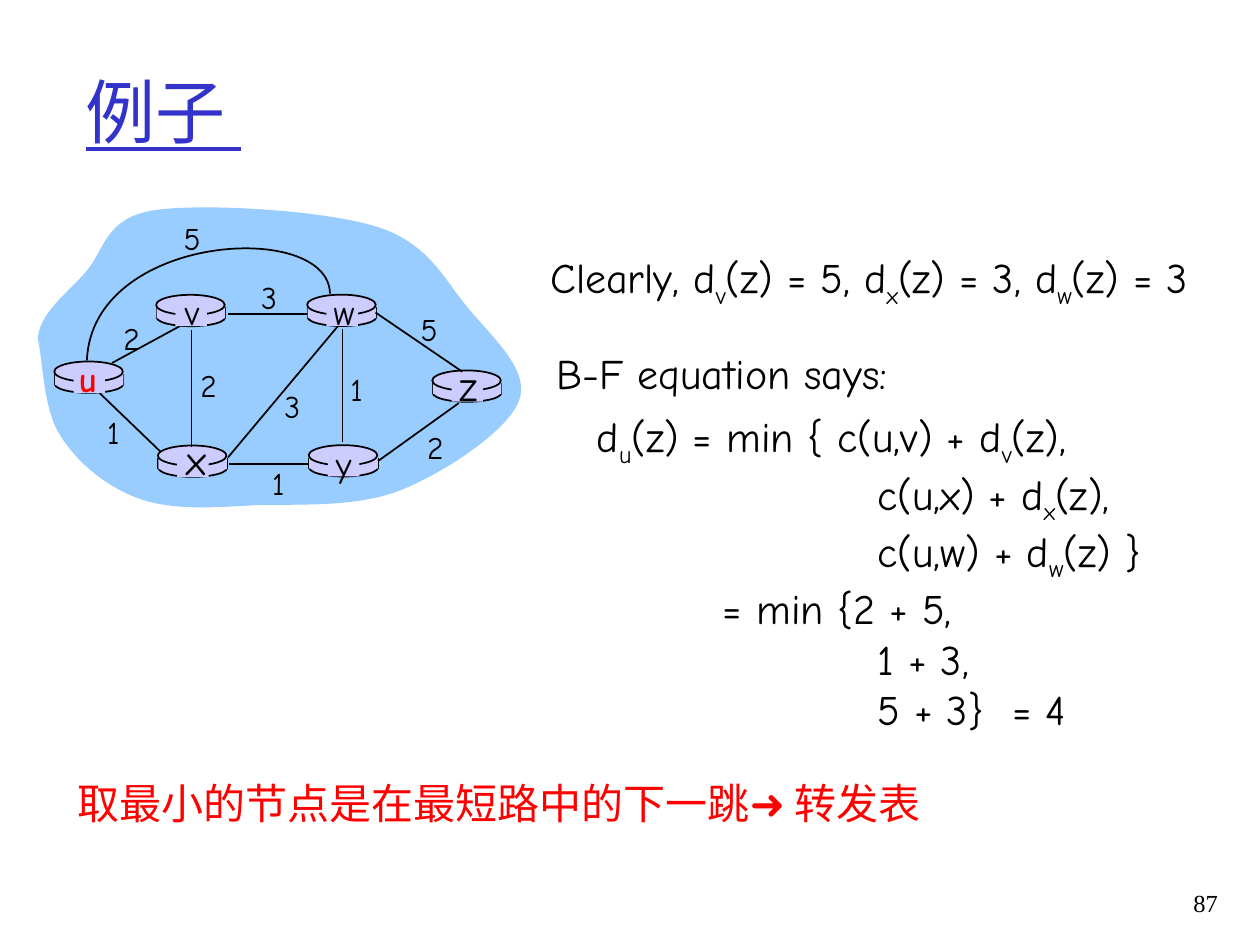
from lxml import etree
from pptx import Presentation
from pptx.dml.color import RGBColor
from pptx.enum.shapes import MSO_CONNECTOR, MSO_SHAPE
from pptx.enum.text import MSO_ANCHOR, MSO_AUTO_SIZE, PP_ALIGN
from pptx.oxml.ns import qn
from pptx.util import Pt

BLACK = RGBColor(0x00, 0x00, 0x00)
RED = RGBColor(0xFF, 0x00, 0x00)
TITLE_BLUE = RGBColor(0x33, 0x33, 0xCC)
CLOUD_BLUE = RGBColor(0x99, 0xCC, 0xFF)
LILAC = RGBColor(0xCC, 0xCC, 0xFF)

COMIC, TIMES, CJK = "Comic Neue", "Times New Roman", "Noto Sans CJK JP"
LEFT, CENTER, RIGHT = PP_ALIGN.LEFT, PP_ALIGN.CENTER, PP_ALIGN.RIGHT
TOP, MIDDLE = MSO_ANCHOR.TOP, MSO_ANCHOR.MIDDLE
OVAL, RECT = MSO_SHAPE.OVAL, MSO_SHAPE.RECTANGLE
STRAIGHT = MSO_CONNECTOR.STRAIGHT
FIT = MSO_AUTO_SIZE.SHAPE_TO_FIT_TEXT

# Router symbol size
NODE_W, RIM_H = 39.2, 11.5

# Router name: left and top of its symbol, centre and size of its letter
NODES = {
    "u": (31, 206.6, 50, 216.2, 20),
    "x": (90.2, 254.6, 111.6, 262.2, 24),
    "v": (89.2, 168.5, 109.8, 178, 20),
    "w": (175.5, 168.4, 195.6, 178, 20),
    "y": (176.4, 254.4, 196.4, 264.8, 20),
    "z": (247, 211.7, 267.6, 220, 24),
}
EDGE_UV = (64.1, 207.4, 106.6, 184.3)
EDGES = [
    (195.8, 187.9, 195.8, 252.7),
    (109.4, 188.6, 109.4, 255.6),
    (130.3, 261.4, 193, 186.5),
    (216, 263.5, 262.1, 230.4),
    (176.4, 265.3, 131, 265.3),
    (91.4, 257.8, 56.9, 224.6),
    (175.7, 179.3, 130.3, 179.3),
    (264.2, 212.4, 214.6, 178.6),
]
# Link cost and the centre of its label
COSTS = [
    ("2", 75.2, 193), ("2", 119.2, 220.3), ("1", 64.8, 247), ("3", 167, 231.8),
    ("1", 159.1, 275.8), ("1", 203.8, 222.5), ("2", 248.8, 255.6),
    ("5", 245.2, 187.9), ("3", 153.7, 169.5), ("5", 109.8, 136.1),
]
# Curves: a start point, then two control points and an end point per piece
ARC_UW = [(188.6, 167.8), (187.9, 125.3), (52.6, 133.2), (49.7, 205.9)]
CLOUD = [
    (21.6, 193.7),
    (22.3, 179.3), (38.2, 167.8), (49, 155.5),
    (59.8, 143.3), (59.8, 124.6), (87.8, 120.2),
    (115.9, 115.9), (185.8, 120.2), (215.3, 129.6),
    (245.5, 139), (254.2, 160.6), (267.8, 176.4),
    (281.5, 193), (303.1, 211.7), (296.6, 229),
    (290.2, 246.2), (254.2, 270), (229, 280.1),
    (203.8, 290.2), (170.6, 288), (146.2, 288.7),
    (121, 290.2), (98.6, 291.6), (79.9, 285.1),
    (61.2, 278.6), (43.9, 264.2), (34.6, 249.1),
    (24.5, 234), (24.5, 205.2), (21.6, 193.7),
]
# Equation rows: an underscore makes the next letter a subscript
EQUATION = [
    "d_u(z) = min { c(u,v) + d_v(z),",
    "\tc(u,x) + d_x(z),",
    "\tc(u,w) + d_w(z) }",
    "\t= min {2 + 5,",
    "\t1 + 3,",
    "\t5 + 3}\t= 4",
]
MIN_TAB, TERM_TAB, RESULT_TAB = 72, 160.3, 237.3


class SlideBuilder:
    def __init__(self, slide):
        self.shapes = slide.shapes

    def style(self, sp, fill=None, line=None):
        sp.shadow.inherit = False
        if fill is None:
            sp.fill.background()
        else:
            sp.fill.solid()
            sp.fill.fore_color.rgb = fill
        if line is None:
            sp.line.fill.background()
        else:
            sp.line.color.rgb = line
            sp.line.width = Pt(1)

    def shape(self, kind, x, y, w, h, fill, line=None):
        sp = self.shapes.add_shape(kind, Pt(x), Pt(y), Pt(w), Pt(h))
        self.style(sp, fill, line)

    def curve(self, points, closed, fill=None, line=None):
        corners = [(Pt(x), Pt(y)) for x, y in points]
        builder = self.shapes.build_freeform(*corners[0])
        builder.add_line_segments(corners[1:], close=closed)
        sp = builder.convert_to_shape()
        # Every three straight segments become one cubic curve
        segments = list(sp._element.iter(qn("a:lnTo")))
        for i in range(0, len(segments), 3):
            cubic = etree.Element(qn("a:cubicBezTo"))
            segments[i].addprevious(cubic)
            for segment in segments[i:i + 3]:
                cubic.append(segment[0])
                segment.getparent().remove(segment)
        self.style(sp, fill, line)

    def line(self, x1, y1, x2, y2):
        cn = self.shapes.add_connector(STRAIGHT, Pt(x1), Pt(y1), Pt(x2), Pt(y2))
        cn.line.color.rgb = BLACK
        cn.line.width = Pt(1)
        etree.SubElement(cn._element.spPr, qn("a:effectLst"))

    def run(self, p, text, size, color=BLACK, font=COMIC, bold=False, underline=False, sub=False):
        r = p.add_run()
        r.text = text
        r.font.size, r.font.name = Pt(size), font
        r.font.color.rgb = color
        r.font.bold, r.font.underline = bold, underline
        rPr = r._r.get_or_add_rPr()
        etree.SubElement(rPr, qn("a:ea"), typeface=CJK)
        if sub:
            rPr.set("baseline", "-25000")

    def formula(self, p, text, size=24):
        first, *rest = text.split("_")
        self.run(p, first, size)
        for part in rest:
            self.run(p, part[0], size, sub=True)
            self.run(p, part[1:], size)

    def text(self, x, y, w, h, align=LEFT, anchor=TOP, wrap=False):
        tf = self.shapes.add_textbox(Pt(x), Pt(y), Pt(w), Pt(h)).text_frame
        tf.word_wrap = wrap
        tf.vertical_anchor = anchor
        if not wrap:
            tf.auto_size = FIT
        tf.paragraphs[0].alignment = align
        return tf

    def label(self, text, cx, cy, size, color=BLACK, bold=False):
        w, h = 24, size * 1.2 + 7.2
        tf = self.text(cx - w / 2, cy - h / 2, w, h, CENTER)
        self.run(tf.paragraphs[0], text, size, color, bold=bold)

    def tabs(self, p, *stops):
        tab_list = etree.SubElement(p._p.get_or_add_pPr(), qn("a:tabLst"))
        for stop in stops:
            etree.SubElement(tab_list, qn("a:tab"), pos=str(Pt(stop)), algn="l")

    def router(self, x, y):
        self.shape(OVAL, x + 0.3, y + 7.9, NODE_W, 10, LILAC, BLACK)
        for side in (x + 0.3, x + 0.3 + NODE_W):
            self.line(side, y + 7.2, side, y + 13.5)
        self.shape(RECT, x + 0.3, y + 7.2, NODE_W, 6.3, LILAC)
        self.shape(OVAL, x, y, NODE_W, RIM_H, LILAC, BLACK)


def main():
    prs = Presentation()
    prs.slide_width, prs.slide_height = Pt(720), Pt(540)
    s = SlideBuilder(prs.slides.add_slide(prs.slide_layouts[6]))

    # Title
    tf = s.text(42, 18, 612, 90, anchor=MIDDLE, wrap=True)
    s.run(tf.paragraphs[0], "例子 ", 40, TITLE_BLUE, TIMES, underline=True)

    # Network: cloud, routers and links
    s.curve(CLOUD, True, fill=CLOUD_BLUE)
    s.line(*EDGE_UV)
    for x, y, *_ in NODES.values():
        s.router(x, y)
    for edge in EDGES:
        s.line(*edge)
    s.curve(ARC_UW, False, line=BLACK)

    # Router names and link costs
    for name, (x, y, cx, cy, size) in NODES.items():
        s.shape(RECT, x + 11, y + 1.4, 18, 16.5, LILAC)
        source = name == "u"
        s.label(name, cx, cy, size, RED if source else BLACK, source)
    for cost, cx, cy in COSTS:
        s.label(cost, cx, cy, 18)

    # Known distances and the equation
    tf = s.text(307.4, 140.2, 378.7, 40.3)
    s.formula(tf.paragraphs[0], "Clearly, d_v(z) = 5, d_x(z) = 3, d_w(z) = 3")
    tf = s.text(334, 231.2, 350, 192.2, wrap=True)
    for i, row in enumerate(EQUATION):
        p = tf.add_paragraph() if i else tf.paragraphs[0]
        if row.startswith("\t="):
            s.tabs(p, MIN_TAB)
        elif row.startswith("\t"):
            s.tabs(p, TERM_TAB, RESULT_TAB)
        s.formula(p, row)
    tf = s.text(311, 194.9, 203.8, 36)
    s.formula(tf.paragraphs[0], "B-F equation says:")

    # Conclusion
    p = s.text(37.4, 440.6, 496.8, 36).paragraphs[0]
    s.run(p, "取最小的节点是在最短路中的下一跳", 24, RED)
    s.run(p, "➜ ", 24, RED, CJK)
    s.run(p, "转发表", 24, RED)

    # Page number
    tf = s.text(654, 504, 49, 36, RIGHT, wrap=True)
    s.run(tf.paragraphs[0], "87", 14, font=TIMES)

    prs.save("out.pptx")


if __name__ == "__main__":
    main()
